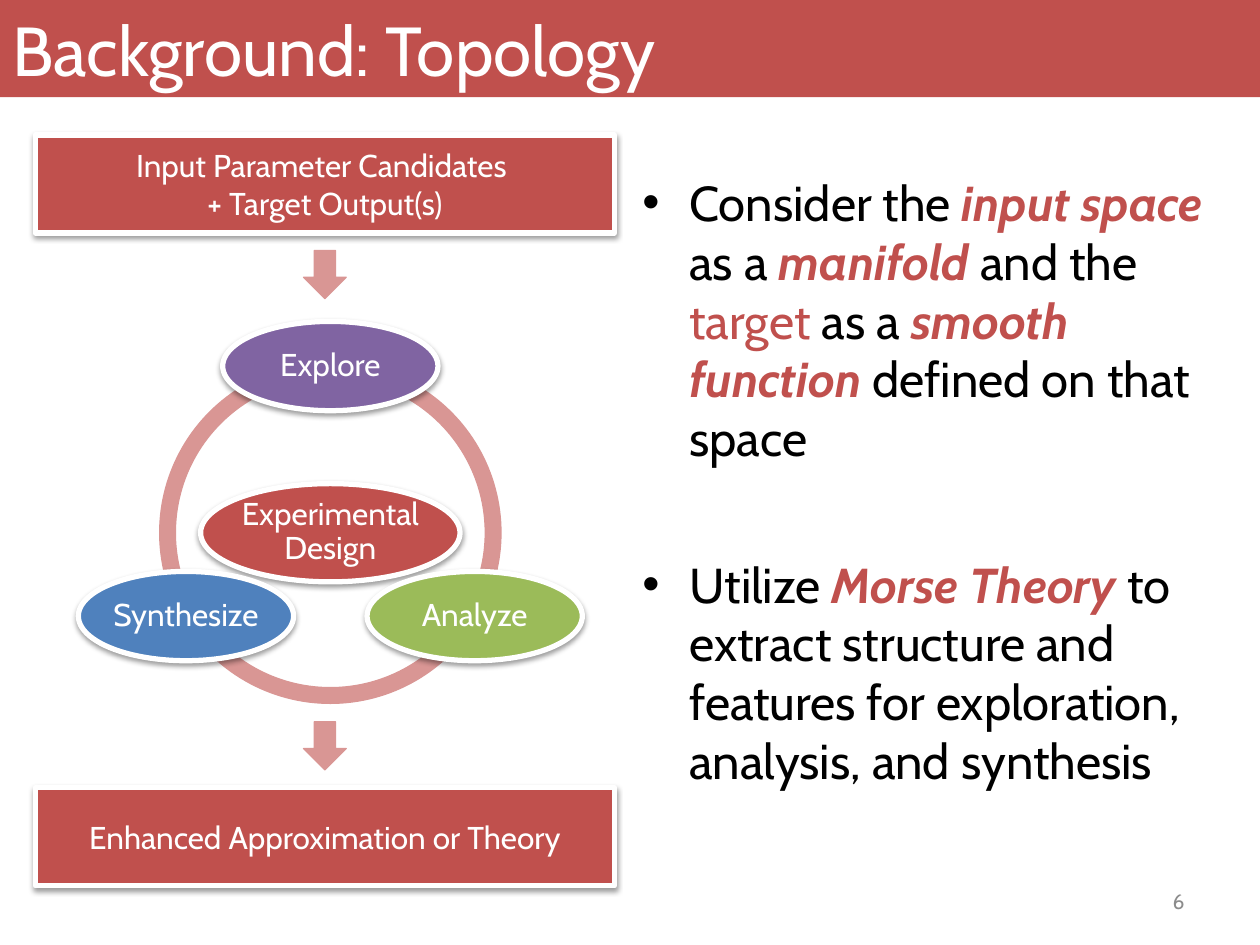
from dataclasses import dataclass
from math import cos, radians, sin

from lxml.etree import SubElement
from pptx import Presentation
from pptx.dml.color import RGBColor
from pptx.enum.shapes import MSO_SHAPE
from pptx.enum.text import MSO_ANCHOR, PP_ALIGN
from pptx.oxml.ns import qn
from pptx.shapes.autoshape import Shape
from pptx.slide import Slide
from pptx.util import Cm, Pt

FONT = "Cabin"
RED = RGBColor(0xC0, 0x50, 0x4D)
PINK = RGBColor(0xD9, 0x96, 0x94)
PURPLE = RGBColor(0x80, 0x64, 0xA2)
GREEN = RGBColor(0x9B, 0xBB, 0x59)
BLUE = RGBColor(0x4F, 0x81, 0xBD)
GRAY = RGBColor(0x8C, 0x8C, 0x8C)
BLACK = RGBColor(0, 0, 0)
WHITE = RGBColor(0xFF, 0xFF, 0xFF)

CENTER_X, CENTER_Y = 6.66, 10.74
RING_SIZE = 6.88
ORBIT = 3.36
BOX_LEFT, BOX_WIDTH, BOX_HEIGHT = 0.71, 11.68, 1.98
ARROW_WIDTH, ARROW_HEIGHT = 0.86, 0.97


@dataclass
class Box:
    left: float
    top: float
    width: float
    height: float

    def lengths(self) -> tuple[Cm, Cm, Cm, Cm]:
        return Cm(self.left), Cm(self.top), Cm(self.width), Cm(self.height)


@dataclass
class Node:
    text: str
    fill: RGBColor
    angle: float


@dataclass
class Phrase:
    text: str
    color: RGBColor = BLACK
    strong: bool = False


def key(text: str) -> Phrase:
    return Phrase(text, RED, True)


NODES = [
    Node("Explore", PURPLE, -90),
    Node("Analyze", GREEN, 30),
    Node("Synthesize", BLUE, 150),
]
ARCS = [(90, 162), (18, 90), (162, 18)]
STAGES = [
    (2.72, ["Input Parameter Candidates ", "+ Target Output(s)"]),
    (15.88, ["Enhanced Approximation or Theory"]),
]
ARROW_TOPS = [5.05, 14.55]
BULLETS = [
    [Phrase("Consider the "), key("input space"), Phrase(" as a "), key("manifold "),
     Phrase("and the "), Phrase("target", RED), Phrase(" as a "), key("smooth function "),
     Phrase("defined on that space")],
    [Phrase("Utilize "), key("Morse Theory"),
     Phrase(" to extract structure and features for exploration, analysis, and synthesis")],
]


def add_flat(slide: Slide, kind: MSO_SHAPE, box: Box, fill: RGBColor) -> Shape:
    shape = slide.shapes.add_shape(kind, *box.lengths())
    shape.shadow.inherit = False
    shape.fill.solid()
    shape.fill.fore_color.rgb = fill
    shape.line.color.rgb = fill
    shape.line.width = Pt(0.75)
    return shape


def add_raised(slide: Slide, kind: MSO_SHAPE, box: Box, fill: RGBColor) -> Shape:
    shape = add_flat(slide, kind, box, fill)
    shape.line.color.rgb = WHITE
    shape.line.width = Pt(3)
    effects = shape._element.spPr.find(qn("a:effectLst"))
    shadow = SubElement(effects, qn("a:outerShdw"), blurRad=str(Pt(3.1)),
                        dist=str(Pt(1.6)), dir="5400000", rotWithShape="0")
    color = SubElement(shadow, qn("a:srgbClr"), val="000000")
    SubElement(color, qn("a:alpha"), val="38000")
    return shape


def write(shape: Shape, lines: list[str], size: float, color: RGBColor,
          align: PP_ALIGN = PP_ALIGN.CENTER, spacing: float = 1.0) -> None:
    frame = shape.text_frame
    frame.word_wrap = True
    frame.vertical_anchor = MSO_ANCHOR.MIDDLE
    frame.text = "\n".join(lines)
    for paragraph in frame.paragraphs:
        paragraph.alignment = align
        paragraph.line_spacing = spacing
        paragraph.font.name = FONT
        paragraph.font.size = Pt(size)
        paragraph.font.color.rgb = color


def add_ellipse(slide: Slide, center: tuple[float, float], size: tuple[float, float],
                text: str, fill: RGBColor) -> None:
    (x, y), (width, height) = center, size
    box = Box(x - width / 2, y - height / 2, width, height)
    shape = add_raised(slide, MSO_SHAPE.OVAL, box, fill)
    frame = shape.text_frame
    frame.margin_left = frame.margin_right = Cm(0)
    frame.margin_top = frame.margin_bottom = Cm(0)
    write(shape, [text], 18, WHITE, spacing=0.9)


def add_cycle(slide: Slide) -> None:
    ring = Box(CENTER_X - RING_SIZE / 2, CENTER_Y - RING_SIZE / 2, RING_SIZE, RING_SIZE)
    for start, end in ARCS:
        arc = add_flat(slide, MSO_SHAPE.BLOCK_ARC, ring, PINK)
        arc.adjustments[0] = start * 0.6
        arc.adjustments[1] = end * 0.6
        arc.adjustments[2] = 0.046
    add_ellipse(slide, (CENTER_X, CENTER_Y), (5.23, 1.98), "Experimental Design", RED)
    for node in NODES:
        angle = radians(node.angle)
        center = CENTER_X + ORBIT * cos(angle), CENTER_Y + ORBIT * sin(angle)
        add_ellipse(slide, center, (4.34, 1.8), node.text, node.fill)


def add_stages(slide: Slide) -> None:
    for top, lines in STAGES:
        box = Box(BOX_LEFT, top, BOX_WIDTH, BOX_HEIGHT)
        write(add_raised(slide, MSO_SHAPE.RECTANGLE, box, RED), lines, 18, WHITE)
    arrow_left = BOX_LEFT + (BOX_WIDTH - ARROW_WIDTH) / 2
    for top in ARROW_TOPS:
        add_flat(slide, MSO_SHAPE.DOWN_ARROW,
                 Box(arrow_left, top, ARROW_WIDTH, ARROW_HEIGHT), PINK)


def add_bullets(slide: Slide, box: Box) -> None:
    frame = slide.shapes.add_textbox(*box.lengths()).text_frame
    frame.word_wrap = True
    for index, phrases in enumerate(BULLETS):
        paragraph = frame.add_paragraph() if index else frame.paragraphs[0]
        if index:
            paragraph.space_before = Pt(50)
        properties = paragraph._p.get_or_add_pPr()
        properties.set("marL", str(Cm(0.95)))
        properties.set("indent", str(-Cm(0.95)))
        SubElement(properties, qn("a:buFont"), typeface="Arial")
        SubElement(properties, qn("a:buChar"), char="•")
        paragraph.font.name = FONT
        paragraph.font.size = Pt(28)
        for phrase in phrases:
            run = paragraph.add_run()
            run.text = phrase.text
            run.font.color.rgb = phrase.color
            if phrase.strong:
                run.font.bold = run.font.italic = True


def main() -> None:
    """Build the topology background slide and save it."""
    presentation = Presentation()
    presentation.slide_width, presentation.slide_height = Cm(25.4), Cm(19.05)
    slide = presentation.slides.add_slide(presentation.slide_layouts[6])
    title = add_flat(slide, MSO_SHAPE.RECTANGLE, Box(0, 0, 25.4, 1.96), RED)
    title.line.fill.background()
    write(title, ["Background: Topology"], 39.6, WHITE, PP_ALIGN.LEFT)
    add_bullets(slide, Box(12.7, 3.35, 12.7, 15.7))
    number = slide.shapes.add_textbox(*Box(18.21, 17.65, 5.92, 1.02).lengths())
    write(number, ["6"], 12, GRAY, PP_ALIGN.RIGHT)
    add_cycle(slide)
    add_stages(slide)
    presentation.save("out.pptx")


if __name__ == "__main__":
    main()
